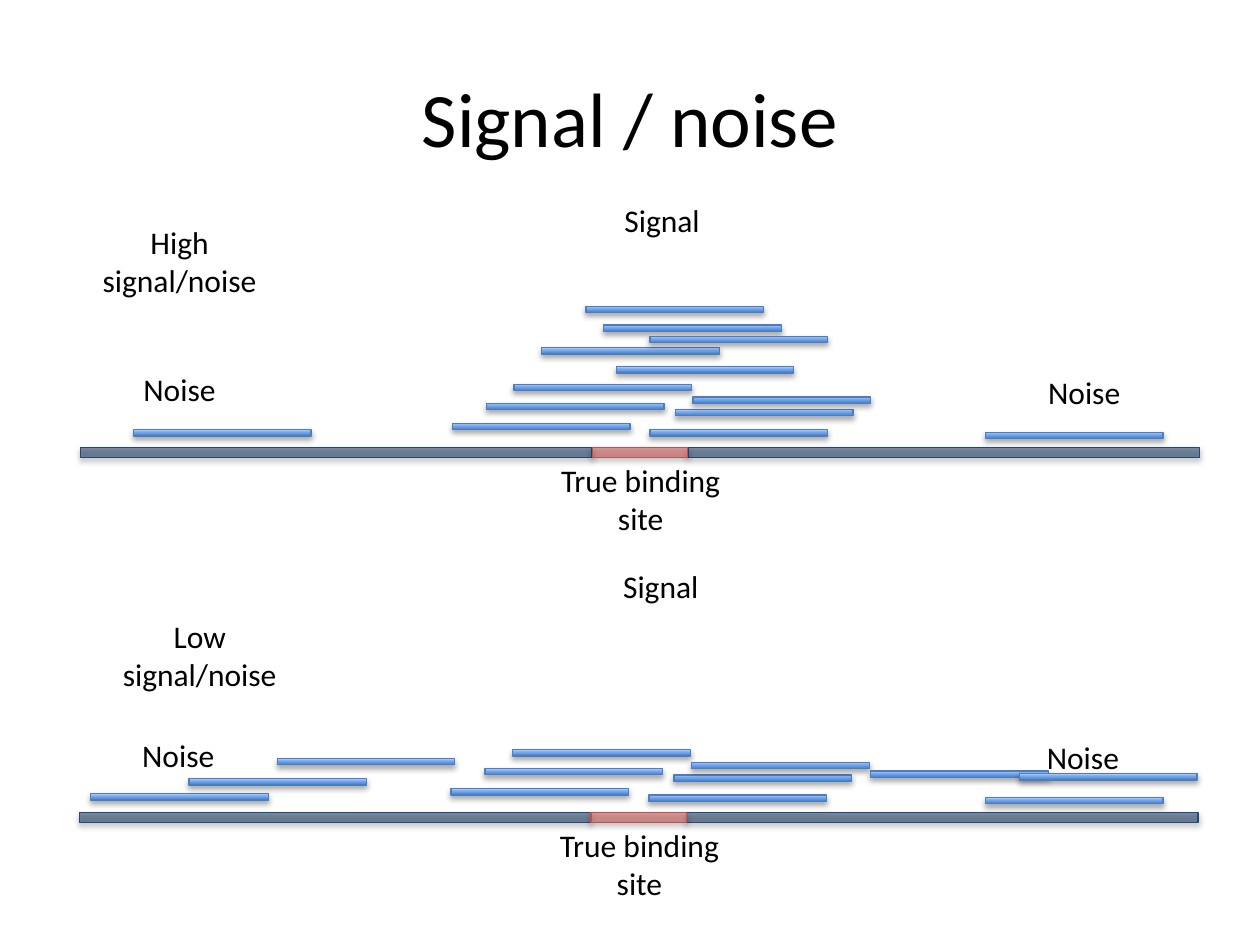
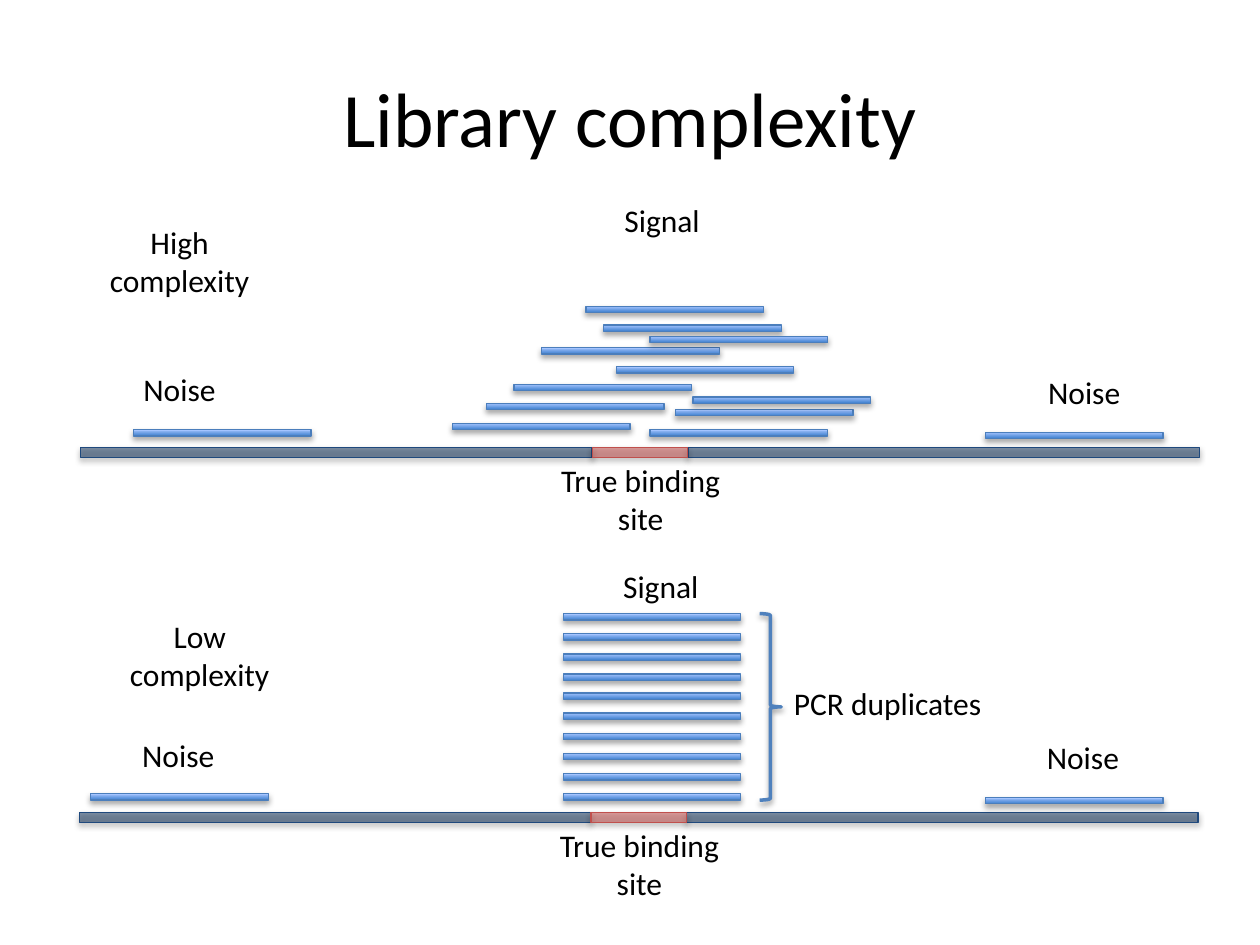
from dataclasses import dataclass
from typing import NamedTuple

from lxml import etree
from pptx import Presentation
from pptx import util as u
from pptx.dml.color import RGBColor
from pptx.enum import shapes, text
from pptx.oxml.ns import qn

EMU_PER_PX = 9144  # 100 px to the inch


# Theme
@dataclass(frozen=True)
class Theme:
    font: str = "Calibri"
    title_size: int = 44
    label_size: int = 18
    ink: str = "000000"
    genome_fill: str = "17375E"
    genome_line: str = "1F497D"
    site: str = "C0504D"
    read_dark: str = "3F80CE"
    read_light: str = "A4C4FF"
    read_line: str = "4B7EBC"
    brace: str = "4F81BD"
    strip_opacity: int = 55
    hairline: float = 0.75
    brace_line: float = 2


THEME = Theme()


class Box(NamedTuple):
    left: int
    top: int
    width: int
    height: int

    def emu(self) -> list[u.Emu]:
        return [u.Emu(side * EMU_PER_PX) for side in self]


class Point(NamedTuple):
    x: int
    y: int

    def box(self, dx: int, dy: int, width: int, height: int) -> Box:
        return Box(self.x + dx, self.y + dy, width, height)


@dataclass(frozen=True)
class Panel:
    """One genome track; offsets are measured from the left end of the genome."""
    origin: Point
    heading: str
    heading_at: Point
    reads: list[Point]
    duplicates: bool = False


# Read positions
SITE_READS = [Point(295, -19), Point(322, -35), Point(452, -14),
              Point(344, -50), Point(472, -30), Point(486, -40)]
PEAK_READS = [Point(425, -64), Point(366, -79), Point(415, -97),
              Point(452, -88), Point(401, -112)]
UPPER_NOISE = [Point(42, -14), Point(718, -12)]
LOWER_NOISE = [Point(9, -15), Point(719, -12)]
EXTRA_NOISE = [Point(87, -27), Point(157, -43), Point(628, -33), Point(746, -31)]
DUPLICATE_READS = [Point(384, -15 - round(15.9 * i)) for i in range(10)]

# Track measures
READ_WIDTH, READ_HEIGHT = 141, 5
ARM_WIDTH, SITE_WIDTH, GENOME_HEIGHT = 406, 76, 8
LABEL_WIDTH, ONE_LINE, TWO_LINES = 157, 40, 71
UPPER, LOWER = Point(64, 355), Point(63, 645)
UPPER_HEADING, LOWER_HEADING = Point(0, -183), Point(17, -160)


# Drawing functions
def add_text(slide, words: str, box: Box, *, size: int = THEME.label_size,
             anchor=text.MSO_ANCHOR.TOP, grow: bool = True) -> None:
    frame = slide.shapes.add_textbox(*box.emu()).text_frame
    frame.word_wrap = True
    frame.vertical_anchor = anchor
    fit = text.MSO_AUTO_SIZE
    frame.auto_size = fit.SHAPE_TO_FIT_TEXT if grow else fit.NONE
    paragraph = frame.paragraphs[0]
    paragraph.text = words
    paragraph.alignment = text.PP_ALIGN.CENTER
    paragraph.font.name = THEME.font
    paragraph.font.size = u.Pt(size)
    paragraph.font.color.rgb = RGBColor.from_string(THEME.ink)


def add_shadow(shape, opacity: int = 35, distance: int = 23000) -> None:
    shape.shadow.inherit = False
    effects = shape._element.spPr.find(qn("a:effectLst"))
    shadow = etree.SubElement(effects, qn("a:outerShdw"), blurRad="40000",
                              dist=str(distance), dir="5400000", rotWithShape="0")
    color = etree.SubElement(shadow, qn("a:srgbClr"), val=THEME.ink)
    etree.SubElement(color, qn("a:alpha"), val=str(opacity * 1000))


def add_outlined(slide, kind, box: Box, line: str, width: float):
    shape = slide.shapes.add_shape(kind, *box.emu())
    shape.line.color.rgb = RGBColor.from_string(line)
    shape.line.width = u.Pt(width)
    return shape


def add_strip(slide, box: Box, fill: str, line: str) -> None:
    strip = add_outlined(slide, shapes.MSO_SHAPE.RECTANGLE, box, line, THEME.hairline)
    strip.fill.solid()
    strip.fill.fore_color.rgb = RGBColor.from_string(fill)
    color = strip._element.spPr.find(qn("a:solidFill")).find(qn("a:srgbClr"))
    etree.SubElement(color, qn("a:alpha"), val=str(THEME.strip_opacity * 1000))
    add_shadow(strip)


def add_read(slide, box: Box) -> None:
    read = add_outlined(slide, shapes.MSO_SHAPE.RECTANGLE, box,
                        THEME.read_line, THEME.hairline)
    read.fill.gradient()
    read.fill.gradient_angle = 90
    shades = (THEME.read_dark, THEME.read_light)
    for stop, shade, position in zip(read.fill.gradient_stops, shades, (0, 1)):
        stop.color.rgb = RGBColor.from_string(shade)
        stop.position = position
    add_shadow(read)


def add_duplicate_brace(slide, origin: Point) -> None:
    brace = add_outlined(slide, shapes.MSO_SHAPE.RIGHT_BRACE,
                         origin.box(540, -158, 17, 148), THEME.brace, THEME.brace_line)
    brace.fill.background()
    add_shadow(brace, opacity=38, distance=20000)
    add_text(slide, "PCR duplicates", origin.box(541, -107, 201, ONE_LINE))


def add_panel(slide, panel: Panel) -> None:
    origin = panel.origin
    # Genome with its binding site
    for dx in (0, ARM_WIDTH + SITE_WIDTH):
        add_strip(slide, origin.box(dx, 0, ARM_WIDTH, GENOME_HEIGHT),
                  THEME.genome_fill, THEME.genome_line)
    add_strip(slide, origin.box(ARM_WIDTH, 0, SITE_WIDTH, GENOME_HEIGHT),
              THEME.site, THEME.site)
    # Reads
    for read in panel.reads:
        add_read(slide, origin.box(read.x, read.y, READ_WIDTH, READ_HEIGHT))
    # Labels
    labels = [
        ("True binding site", Point(366, 6), TWO_LINES),
        ("Signal", Point(383, -200), ONE_LINE),
        ("Noise", Point(0, -66), ONE_LINE),
        ("Noise", Point(718, -64), ONE_LINE),
        (panel.heading, panel.heading_at, TWO_LINES),
    ]
    for words, at, height in labels:
        add_text(slide, words, origin.box(at.x, at.y, LABEL_WIDTH, height))
    if panel.duplicates:
        add_duplicate_brace(slide, origin)


def add_slide(deck, title: str, panels: list[Panel]) -> None:
    slide = deck.slides.add_slide(deck.slide_layouts[6])
    add_text(slide, title, Box(50, 30, 900, 125), size=THEME.title_size,
             anchor=text.MSO_ANCHOR.MIDDLE, grow=False)
    for panel in panels:
        add_panel(slide, panel)


def main() -> None:
    deck = Presentation()
    deck.slide_width, deck.slide_height = Box(0, 0, 1000, 750).emu()[2:]

    peak = SITE_READS + PEAK_READS + UPPER_NOISE
    add_slide(deck, "Signal / noise", [
        Panel(UPPER, "High signal/noise", UPPER_HEADING, peak),
        Panel(LOWER, "Low signal/noise", LOWER_HEADING,
              SITE_READS + LOWER_NOISE + EXTRA_NOISE),
    ])
    add_slide(deck, "Library complexity", [
        Panel(UPPER, "High complexity", UPPER_HEADING, peak),
        Panel(LOWER, "Low complexity", LOWER_HEADING,
              DUPLICATE_READS + LOWER_NOISE, duplicates=True),
    ])
    deck.save("out.pptx")


if __name__ == "__main__":
    main()
